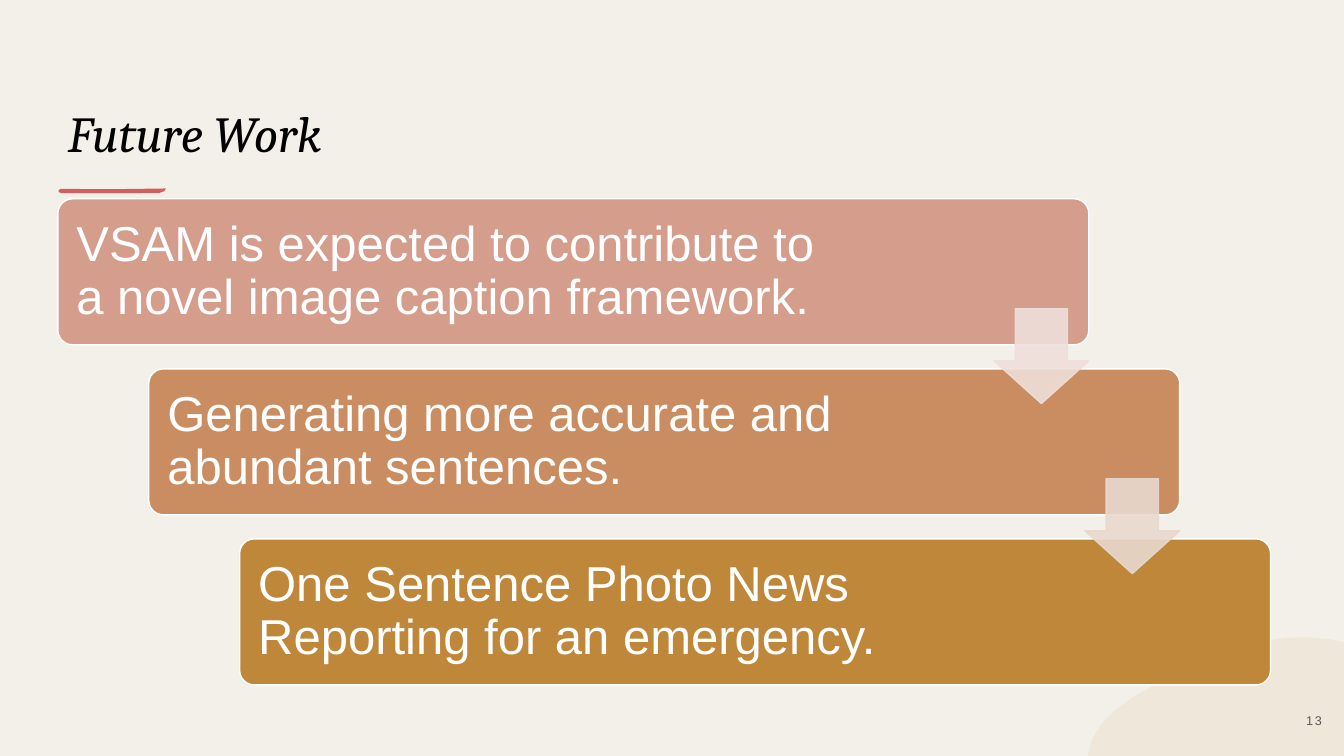
from lxml import etree
from pptx import Presentation
from pptx.dml.color import RGBColor
from pptx.enum.shapes import MSO_SHAPE as Shape
from pptx.enum.text import MSO_ANCHOR as Anchor, PP_ALIGN as Align
from pptx.oxml.ns import qn
from pptx.util import Cm, Pt

COLORS = {
    "page": "F3F0E9", "title": "000000", "underline": "D45E5E",
    "corner": "E7CFAF", "white": "FFFFFF", "number": "595959",
}
STEPS = [
    ("VSAM is expected to contribute to a novel image caption framework.", "D49D8C", "EFDFDA"),
    ("Generating more accurate and abundant sentences.", "CA8D62", "E8D9CE"),
    ("One Sentence Photo News Reporting for an emergency.", "BF873A", None),
]


def paint(fill, color, opacity=100):
    """Make a fill solid, optionally translucent."""
    fill.solid()
    fill.fore_color.rgb = RGBColor.from_string(color)
    if opacity < 100:
        for rgb in fill._xPr.iter(qn("a:srgbClr")):
            if rgb.find(qn("a:alpha")) is None:
                etree.SubElement(rgb, qn("a:alpha"), val=str(opacity * 1000))


def style(shape, color, opacity=100, line=None):
    """Give a shape its fill and outline, without shadow."""
    shape.shadow.inherit = False
    paint(shape.fill, color, opacity)
    if line:
        paint(shape.line.fill, line, opacity)
        shape.line.width = Pt(1)
    else:
        shape.line.fill.background()


def write(shape, text, size, color, font="Arial", italic=False, align=Align.LEFT,
          anchor=Anchor.MIDDLE, spacing=1.0, tracking=0, margins=(0.25, 0.13, 0.25, 0.13)):
    """Put one formatted paragraph into a shape."""
    frame = shape.text_frame
    frame.word_wrap = True
    frame.vertical_anchor = anchor
    (frame.margin_left, frame.margin_top,
     frame.margin_right, frame.margin_bottom) = map(Cm, margins)
    paragraph = frame.paragraphs[0]
    paragraph.alignment = align
    paragraph.line_spacing = spacing
    run = paragraph.add_run()
    run.text = text
    run.font.size = Pt(size)
    run.font.name = font
    run.font.italic = italic
    run.font.color.rgb = RGBColor.from_string(color)
    if tracking:
        run.font._element.set("spc", str(tracking))


def bezier(start, first, second, end, count=12):
    """Return points along a cubic curve, after its start."""
    points = []
    for i in range(1, count + 1):
        t = i / count
        weights = ((1 - t) ** 3, 3 * t * (1 - t) ** 2, 3 * t * t * (1 - t), t ** 3)
        points.append(tuple(sum(w * p[axis] for w, p in zip(weights, (start, first, second, end)))
                            for axis in (0, 1)))
    return points


def outline(slide, left, top, points, color, opacity=100):
    """Draw a closed outline whose points are in cm from left and top."""
    placed = [(Cm(left + x), Cm(top + y)) for x, y in points]
    builder = slide.shapes.build_freeform(*placed[0])
    builder.add_line_segments(placed[1:], close=True)
    style(builder.convert_to_shape(), color, opacity)


def add_corner(slide, left, top, width, height):
    """Place the rounded bottom-right corner."""
    curves = [
        ((0.02, 2.87), (0.2, 1.91), (1.37, 1.32), (2.44, 0.84)),
        ((2.44, 0.84), (3.33, 0.41), (4.27, 0), (5.41, 0)),
        ((5.41, 0), (5.64, 0), (5.89, 0.03), (6.12, 0.05)),
    ]
    points = [(0, height), (0.02, 2.87)]
    for curve in curves:
        points += bezier(*curve)
    points += [(width, 0.13), (width, height)]
    outline(slide, left, top, points, COLORS["corner"], 25)


def add_heading(slide, left, top, width, height):
    """Place the title and the brush stroke under it."""
    title = slide.shapes.title
    title.left, title.top, title.width, title.height = map(Cm, (left, top, width, height))
    write(title, "Future Work", 36, COLORS["title"], font="Cambria",
          italic=True, anchor=Anchor.BOTTOM)
    stroke = [(0, 0.04), (0.05, 0.01), (1.3, 0.02), (2.7, 0), (2.66, 0.07),
              (2.54, 0.11), (1.5, 0.12), (0.07, 0.12), (0, 0.09)]
    outline(slide, left + 0.02, top + height + 0.53, stroke, COLORS["underline"])


def add_staircase(slide, left, top, width, height):
    """Place the staggered steps, then the arrows between them."""
    step_width, step_height, arrow_size, arrow_drop = 25.98, 3.68, 2.39, 2.77
    across = (width - step_width) / (len(STEPS) - 1)
    down = (height - step_height) / (len(STEPS) - 1)
    for i, (text, color, _) in enumerate(STEPS):
        step = slide.shapes.add_shape(
            Shape.ROUNDED_RECTANGLE, Cm(left + i * across), Cm(top + i * down),
            Cm(step_width), Cm(step_height))
        step.adjustments[0] = 0.1
        style(step, color, line=COLORS["white"])
        write(step, text, 35, COLORS["white"], spacing=0.9, margins=(0.36, 0.38, 6.35, 0.38))
    for i, (_, _, color) in enumerate(STEPS[:-1]):
        arrow = slide.shapes.add_shape(
            Shape.DOWN_ARROW, Cm(left + i * across + step_width - arrow_size),
            Cm(top + i * down + arrow_drop), Cm(arrow_size), Cm(arrow_size))
        arrow.adjustments[0] = 0.55
        arrow.adjustments[1] = 0.45
        style(arrow, color, 90, line=color)


def add_page_number(slide, left, top, width, height):
    """Place the page number."""
    number = slide.shapes.add_textbox(*map(Cm, (left, top, width, height)))
    write(number, "13", 9, COLORS["number"], align=Align.CENTER, tracking=110)


def main():
    """Build and save the slide."""
    deck = Presentation()
    deck.slide_width, deck.slide_height = Cm(33.87), Cm(19.05)
    slide = deck.slides.add_slide(deck.slide_layouts[5])
    paint(slide.background.fill, COLORS["page"])
    add_corner(slide, 27.42, 16.06, 6.45, 2.99)
    add_heading(slide, 1.46, 1.93, 27.99, 2.29)
    add_staircase(slide, 1.46, 5.01, 30.56, 12.25)
    add_page_number(slide, 32.38, 17.65, 1.47, 1.02)
    deck.save("out.pptx")


if __name__ == "__main__":
    main()
